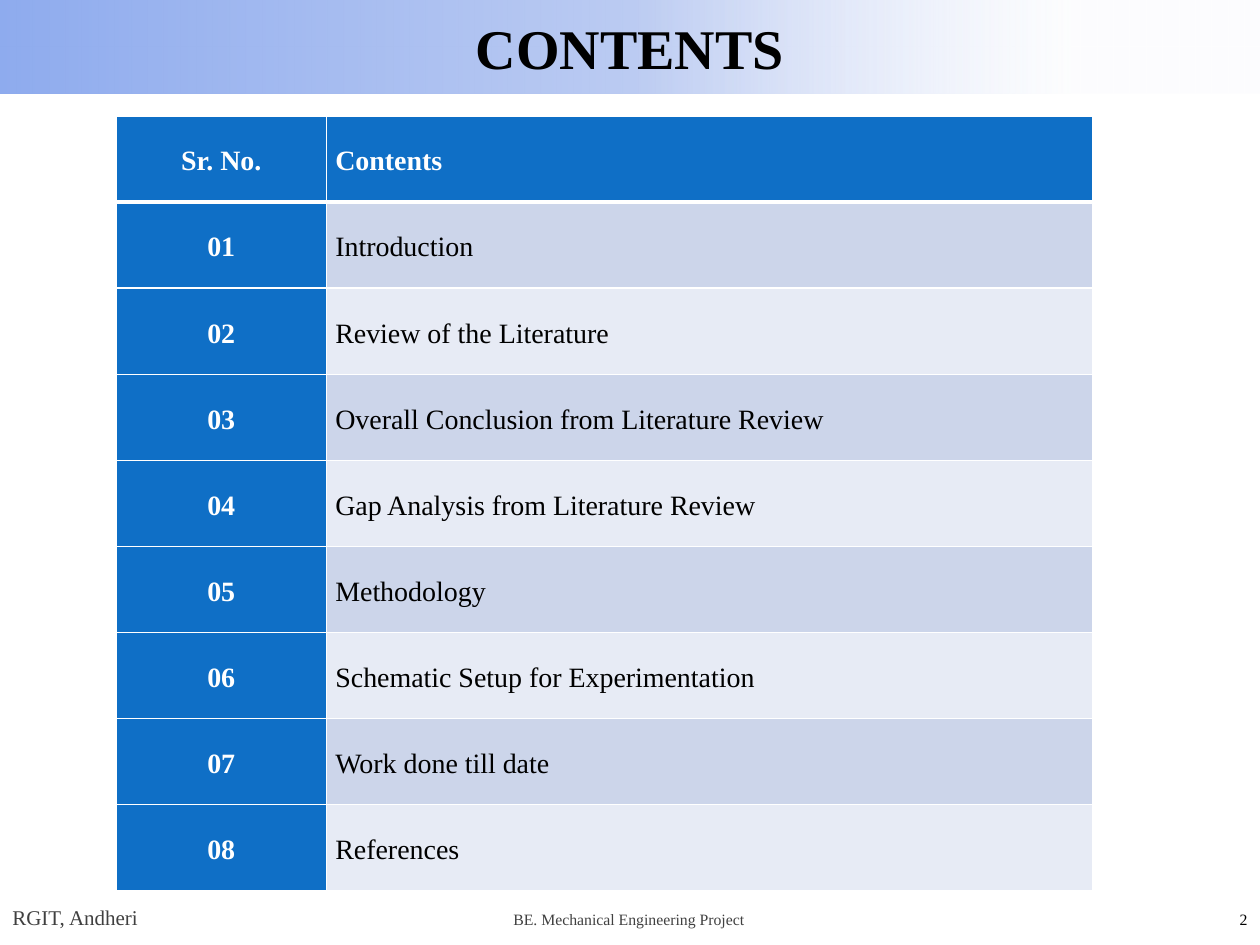
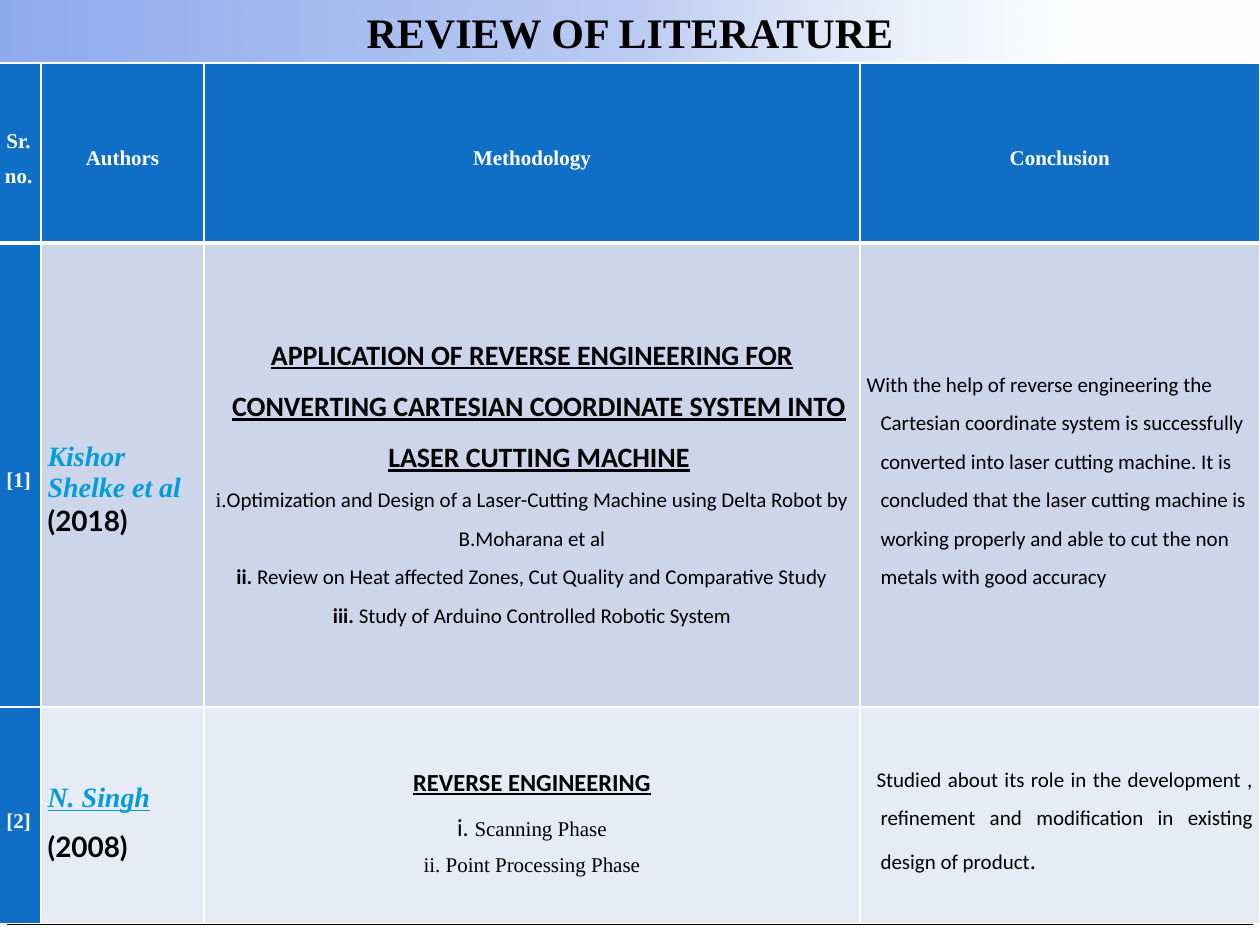
from dataclasses import dataclass, replace

from lxml import etree
from pptx import Presentation
from pptx import util as u
from pptx.dml.color import RGBColor
from pptx.enum import shapes, text
from pptx.oxml.ns import qn

SERIF, SANS, AUTHOR_FONT = "Times New Roman", "Calibri", "Lato"
BLACK, WHITE, GREY = "000000", "FFFFFF", "404040"
HEADER_BLUE, AUTHOR_BLUE = "0F6FC6", "009DD9"
ROW_TINTS = "CCD5EA", "E7EBF5"
BAND_STOPS = (0, "8EABEE", 100), (50, "BBCBF2", 100), (85, "DEE5F8", 7)

LEFT, CENTER = text.PP_ALIGN.LEFT, text.PP_ALIGN.CENTER
RIGHT, JUSTIFY = text.PP_ALIGN.RIGHT, text.PP_ALIGN.JUSTIFY
MIDDLE = text.MSO_ANCHOR.MIDDLE


def rgb(value):
    return RGBColor.from_string(value)


@dataclass(frozen=True)
class Look:
    size: float = 12
    font: str = SERIF
    color: str = BLACK
    bold: bool = False
    italic: bool = False
    underline: bool = False

    def apply(self, font):
        font.size, font.name = u.Pt(self.size), self.font
        font.color.rgb = rgb(self.color)
        font.bold, font.italic, font.underline = self.bold, self.italic, self.underline


@dataclass
class Para:
    runs: list
    align: int = LEFT
    spacing: float = 1.0
    margin: float = 0
    indent: float = 0


def line(words, look, align=LEFT, spacing=1.0, **indents):
    return Para([(words, look)], align, spacing, **indents)


class Deck:
    def __init__(self):
        self.prs = Presentation()
        self.prs.slide_width, self.prs.slide_height = u.Cm(25.4), u.Cm(19.05)
        self.slide = None

    def fill_text(self, frame, paras):
        for index, para in enumerate(paras):
            target = frame.paragraphs[0] if index == 0 else frame.add_paragraph()
            target.alignment, target.line_spacing = para.align, para.spacing
            props = target._p.get_or_add_pPr()
            props.set("marL", str(u.Cm(para.margin)))
            props.set("indent", str(u.Cm(para.indent)))
            for words, look in para.runs:
                run = target.add_run()
                run.text = words
                look.apply(run.font)

    def new_slide(self, heading, height, size):
        self.slide = self.prs.slides.add_slide(self.prs.slide_layouts[5])
        band = self.slide.shapes.title
        band.left, band.top = 0, 0
        band.width, band.height = self.prs.slide_width, u.Cm(height)
        band.fill.gradient()
        band.fill.gradient_angle = 0
        stops = band.element.spPr.find(".//" + qn("a:gsLst"))
        for stop in list(stops):
            stops.remove(stop)
        for position, color, opacity in BAND_STOPS:
            stop = etree.SubElement(stops, qn("a:gs"), pos=str(position * 1000))
            tint = etree.SubElement(stop, qn("a:srgbClr"), val=color)
            etree.SubElement(tint, qn("a:alpha"), val=str(opacity * 1000))
        frame = band.text_frame
        frame.auto_size, frame.word_wrap = text.MSO_AUTO_SIZE.NONE, True
        frame.vertical_anchor = MIDDLE
        self.fill_text(frame, [line(heading, Look(size, bold=True), CENTER)])

    def label(self, words, left, top, width, look, align=LEFT):
        box = self.slide.shapes.add_textbox(u.Cm(left), u.Cm(top), u.Cm(width), u.Cm(1.02))
        box.text_frame.word_wrap = True
        box.text_frame.vertical_anchor = MIDDLE
        self.fill_text(box.text_frame, [line(words, look, align)])

    def page_number(self, number):
        self.label(number, 23.7, 18.03, 1.7, Look(9), RIGHT)

    def rule(self, left, right, y):
        rule = self.slide.shapes.add_connector(
            shapes.MSO_CONNECTOR.STRAIGHT, u.Cm(left), u.Cm(y), u.Cm(right), u.Cm(y))
        rule.line.color.rgb, rule.line.width = rgb(BLACK), u.Pt(1.25)
        etree.SubElement(rule._element.spPr, qn("a:effectLst"))

    def borders(self, cell, row):
        props = cell._tc.get_or_add_tcPr()
        widths = {"L": 1, "R": 1, "T": 3 if row == 1 else 1, "B": 3 if row == 0 else 1}
        for side, width in widths.items():
            edge = etree.SubElement(props, qn("a:ln" + side), w=str(u.Pt(width)))
            fill = etree.SubElement(edge, qn("a:solidFill"))
            etree.SubElement(fill, qn("a:srgbClr"), val=WHITE)

    def table(self, left, top, widths, heights, rows, margins):
        table = self.slide.shapes.add_table(
            len(heights), len(widths), u.Cm(left), u.Cm(top),
            u.Cm(sum(widths)), u.Cm(sum(heights))).table
        table.first_col = True
        for column, width in zip(table.columns, widths):
            column.width = u.Cm(width)
        for row, height in zip(table.rows, heights):
            row.height = u.Cm(height)
        for r, row in enumerate(rows):
            for c, paras in enumerate(row):
                cell = table.cell(r, c)
                cell.vertical_anchor = MIDDLE
                cell.margin_left = cell.margin_right = u.Cm(margins[0])
                cell.margin_top = cell.margin_bottom = u.Cm(margins[1])
                self.borders(cell, r)
                cell.fill.solid()
                cell.fill.fore_color.rgb = rgb(
                    HEADER_BLUE if r == 0 or c == 0 else ROW_TINTS[(r - 1) % 2])
                self.fill_text(cell.text_frame, paras)
        return table


def contents_slide(deck):
    deck.new_slide("CONTENTS", 1.88, 32)
    deck.label("BE. Mechanical Engineering Project", 6.86, 18.03, 11.63, Look(9, color=GREY), CENTER)
    deck.page_number("2")
    deck.label("RGIT, Andheri", 0, 17.98, 4.65, Look(12, color=GREY))
    topics = [
        "Introduction", "Review of the Literature",
        "Overall Conclusion from Literature Review",
        "Gap Analysis from Literature Review", "Methodology",
        "Schematic Setup for Experimentation", "Work done till date", "References",
    ]
    head = Look(16, color=WHITE, bold=True)
    rows = [[[line("Sr. No.", head, CENTER, 1.15)], [line("Contents", head, LEFT, 1.15)]]]
    for number, topic in enumerate(topics, 1):
        rows.append([[line(f"{number:02}", head, CENTER, 1.15)],
                     [line(topic, Look(16), LEFT, 1.15)]])
    deck.table(2.34, 2.34, [4.24, 15.44], [15.62 / len(rows)] * len(rows), rows, (0.18, 0))


def literature_slide(deck):
    deck.new_slide("REVIEW OF LITERATURE", 1.27, 24)
    deck.rule(0.15, 25.25, 18.62)
    deck.page_number("4")

    head = Look(12, color=WHITE, bold=True)
    author = Look(16, color=AUTHOR_BLUE, bold=True, italic=True)
    year = Look(16, AUTHOR_FONT, bold=True)
    paper = Look(16, SANS, bold=True, underline=True)
    body, serif = Look(12, SANS), Look(12)
    strong = replace(body, bold=True)
    hanging = {"margin": 0.28, "indent": -0.28}

    def centered(*runs, **indents):
        return Para(list(runs), CENTER, 1.5, **indents)

    header = [[centered((name, head))]
              for name in ("Sr. no.", "Authors", "Methodology", "Conclusion")]
    shelke = [
        [centered(("[1]", head))],
        [line("Kishor Shelke et al", author, JUSTIFY), line("(2018)", year, JUSTIFY)],
        [centered(("APPLICATION OF REVERSE ENGINEERING FOR CONVERTING CARTESIAN "
                   "COORDINATE SYSTEM INTO LASER CUTTING MACHINE", paper), **hanging),
         centered(("i.", serif),
                  ("Optimization and Design of a Laser-Cutting Machine using "
                   "Delta Robot by B.Moharana et al", body)),
         centered(("ii.", strong),
                  (" Review on Heat affected Zones, Cut Quality and Comparative Study", body)),
         centered(("iii. ", strong), ("Study of Arduino Controlled Robotic System", body))],
        [line("With the help of reverse engineering the Cartesian coordinate system is "
              "successfully converted into laser cutting machine. It is concluded that the "
              "laser cutting machine is working properly and able to cut the non metals "
              "with good accuracy", body, LEFT, 1.5, **hanging)],
    ]
    singh = [
        [centered(("[2]", head))],
        [line("N. Singh", replace(author, underline=True), JUSTIFY, 1.5),
         line("(2008)", year, JUSTIFY, 1.5)],
        [centered(("REVERSE ENGINEERING", replace(paper, size=14)), **hanging),
         centered(("i. ", Look(14, SANS)), ("Scanning Phase", serif), **hanging),
         centered(("ii. Point Processing Phase", serif))],
        [Para([("Studied about its role in the development , refinement and "
                "modification in existing design of product", body), (".", Look(14, SANS))],
              JUSTIFY, 1.5, margin=0.28, indent=-0.08)],
    ]
    review = deck.table(-0.08, 1.27, [0.91, 3.28, 13.23, 8.05], [3.63, 9.35, 4.37],
                        [header, shelke, singh], (0.13, 0.03))
    review.cell(1, 1).margin_top = u.Cm(0.6)


def main():
    deck = Deck()
    contents_slide(deck)
    literature_slide(deck)
    deck.prs.save("out.pptx")


if __name__ == "__main__":
    main()
